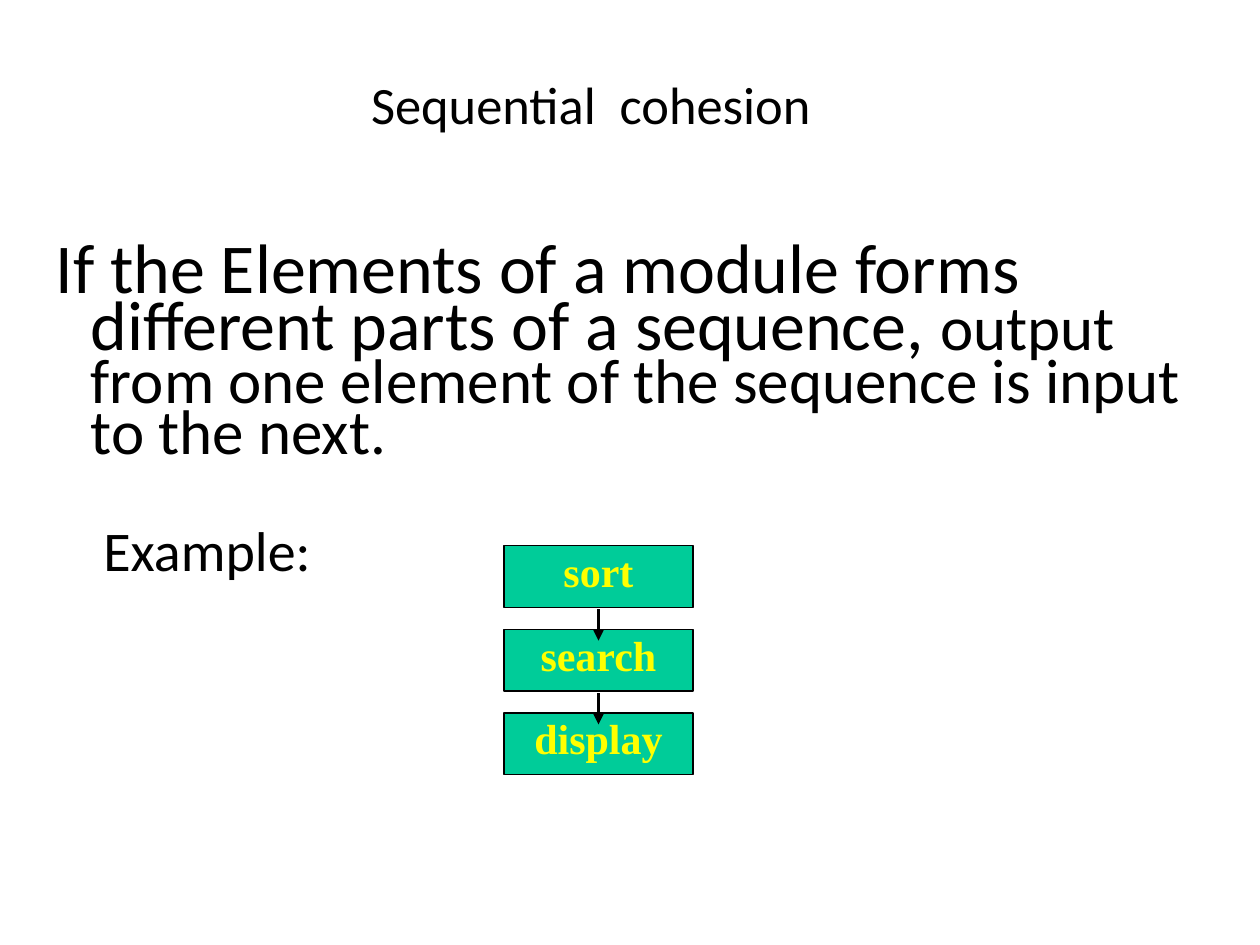
import dataclasses
import typing

import pptx
import pptx.dml.color
import pptx.enum.shapes
import pptx.enum.text
import pptx.oxml.ns
import pptx.util
from lxml import etree

WIDTH, HEIGHT = 10, 7.5
COLORS = {"ink": "000000", "step": "00CC99", "label": "FFFF00"}
STEPS = ["sort", "search", "display"]
STEP_LEFT, STEP_TOP = 4, 4.33
STEP_WIDTH, STEP_HEIGHT, STEP_PITCH = 1.5, 0.49, 0.665
ARROW_GAP, ARROW_LENGTH = 0.015, 0.25
ALIGN = pptx.enum.text.PP_ALIGN
ANCHOR = pptx.enum.text.MSO_ANCHOR


@dataclasses.dataclass
class Area:
    left: float
    top: float
    width: float
    height: float

    def lengths(self) -> list:
        return [pptx.util.Inches(value) for value in dataclasses.astuple(self)]


@dataclasses.dataclass
class Span:
    text: str
    size: float


def color(name: str) -> pptx.dml.color.RGBColor:
    return pptx.dml.color.RGBColor.from_string(COLORS[name])


def prepare_frame(frame: typing.Any, anchor: typing.Any) -> None:
    frame.word_wrap = True
    frame.vertical_anchor = anchor
    frame.margin_left = frame.margin_right = pptx.util.Inches(0.02)
    frame.margin_top = frame.margin_bottom = pptx.util.Inches(0.05)


def write(para: typing.Any, spans: list[Span], *, font: str = "Calibri",
          ink: str = "ink", bold: bool = False, align: typing.Any = ALIGN.LEFT,
          before: float = 0, spacing: float = 1.0, margin: float = 0,
          hanging: float = 0) -> None:
    para.alignment = align
    para.space_before = pptx.util.Pt(before)
    para.line_spacing = spacing
    properties = para._p.get_or_add_pPr()
    properties.set("marL", str(pptx.util.Inches(margin)))
    properties.set("indent", str(-pptx.util.Inches(hanging)))
    for span in spans:
        run = para.add_run()
        run.text = span.text
        run.font.name = font
        run.font.size = pptx.util.Pt(span.size)
        run.font.bold = bold
        run.font.color.rgb = color(ink)


def add_text_frame(page: typing.Any, area: Area, anchor: typing.Any) -> typing.Any:
    frame = page.shapes.add_textbox(*area.lengths()).text_frame
    prepare_frame(frame, anchor)
    return frame


def add_step(page: typing.Any, label: str, area: Area) -> None:
    box = page.shapes.add_shape(
        pptx.enum.shapes.MSO_SHAPE.RECTANGLE, *area.lengths())
    box.shadow.inherit = False
    box.fill.solid()
    box.fill.fore_color.rgb = color("step")
    box.line.color.rgb = color("ink")
    box.line.width = pptx.util.Pt(0.75)
    prepare_frame(box.text_frame, ANCHOR.MIDDLE)
    write(box.text_frame.paragraphs[0], [Span(label, 24)],
          font="Times New Roman", ink="label", bold=True,
          align=ALIGN.CENTER, before=5.4, spacing=0.72)


def add_arrow(page: typing.Any, x: float, top: float, bottom: float) -> None:
    ends = [pptx.util.Inches(value) for value in (x, top, x, bottom)]
    arrow = page.shapes.add_connector(
        pptx.enum.shapes.MSO_CONNECTOR.STRAIGHT, *ends)
    arrow.line.color.rgb = color("ink")
    arrow.line.width = pptx.util.Pt(1.5)
    qualified = pptx.oxml.ns.qn
    etree.SubElement(arrow.line._get_or_add_ln(), qualified("a:tailEnd"),
                     type="triangle")
    etree.SubElement(arrow._element.spPr, qualified("a:effectLst"))


def main() -> None:
    deck = pptx.Presentation()
    deck.slide_width = pptx.util.Inches(WIDTH)
    deck.slide_height = pptx.util.Inches(HEIGHT)
    page = deck.slides.add_slide(deck.slide_layouts[6])

    title = add_text_frame(page, Area(0.44, 0.2, 8.5, 1.25), ANCHOR.MIDDLE)
    write(title.paragraphs[0], [Span("Sequential  cohesion", 30)],
          align=ALIGN.CENTER, before=9.9)

    body = add_text_frame(page, Area(0.42, 1.92, 9.25, 5), ANCHOR.TOP)
    definition = [
        Span("If the Elements of a module forms different parts of a sequence, ", 40),
        Span("output from one element of the sequence is input to the next.", 36),
    ]
    write(body.paragraphs[0], definition, before=4.9, spacing=0.68,
          margin=0.28, hanging=0.28)
    example = body.add_paragraph()
    example.level = 1
    write(example, [Span("Example:", 32)], before=40, spacing=0.68,
          margin=0.61, hanging=0.23)

    tops = [STEP_TOP + row * STEP_PITCH for row in range(len(STEPS))]
    for label, top in zip(STEPS, tops):
        add_step(page, label, Area(STEP_LEFT, top, STEP_WIDTH, STEP_HEIGHT))
    for top in tops[:-1]:
        start = top + STEP_HEIGHT + ARROW_GAP
        add_arrow(page, STEP_LEFT + STEP_WIDTH / 2, start, start + ARROW_LENGTH)

    deck.save("out.pptx")


if __name__ == "__main__":
    main()
